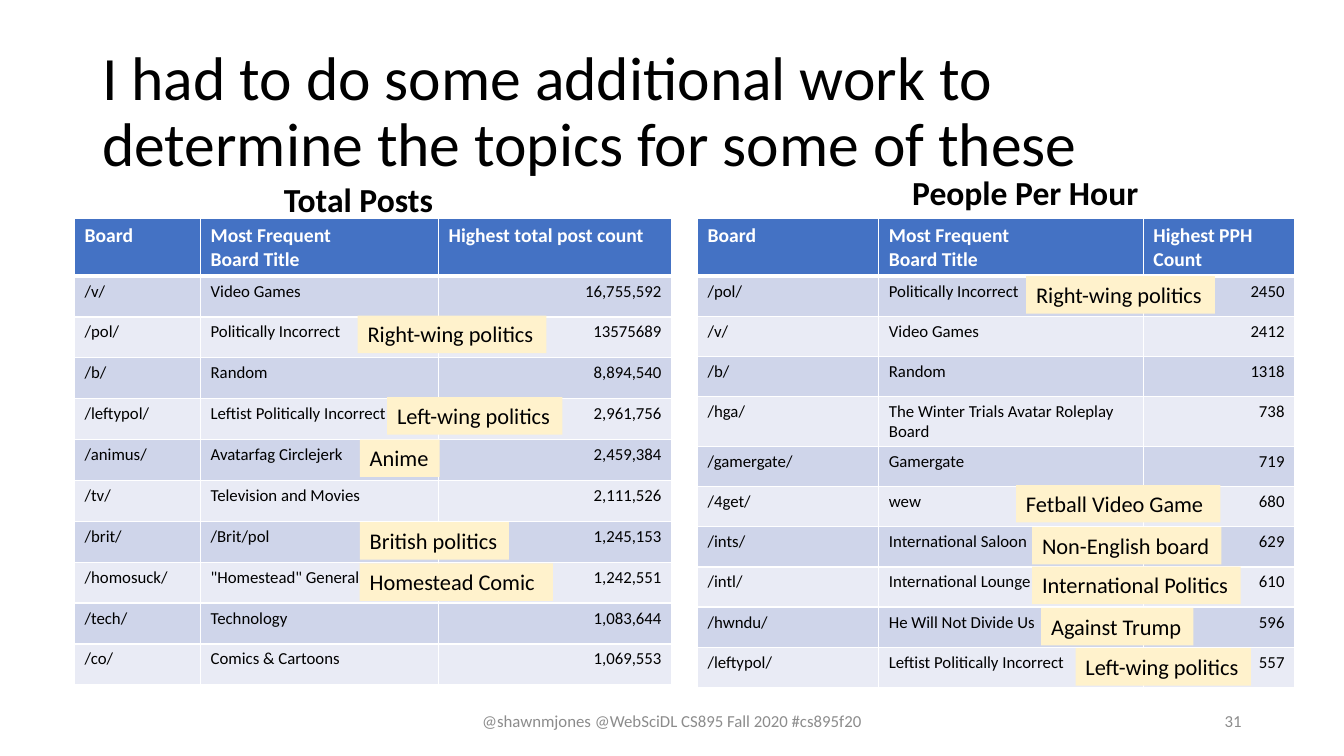
from lxml import etree
from pptx import Presentation
from pptx.dml.color import RGBColor
from pptx.enum.text import MSO_ANCHOR, MSO_AUTO_SIZE, PP_ALIGN
from pptx.oxml.ns import qn
from pptx.util import Pt

LEFT, CENTER, RIGHT = PP_ALIGN.LEFT, PP_ALIGN.CENTER, PP_ALIGN.RIGHT
TOP, MIDDLE = MSO_ANCHOR.TOP, MSO_ANCHOR.MIDDLE
GROW = MSO_AUTO_SIZE.SHAPE_TO_FIT_TEXT
HEADER_FILL = "4472C4"
BAND_FILLS = ("CFD5EA", "E9EBF5")
LABEL_FILL = "FFF2CC"
HEADER_HEIGHT = 41


def color(value):
    return RGBColor.from_string(value)


def write(frame, text, size, ink="000000", bold=False, align=LEFT):
    frame.text = text
    for para in frame.paragraphs:
        para.alignment = align
        para.font.name = "Calibri"
        para.font.size = Pt(size)
        para.font.bold = bold
        para.font.color.rgb = color(ink)


deck = Presentation()
deck.slide_width, deck.slide_height = Pt(960), Pt(540)
page = deck.slides.add_slide(deck.slide_layouts[6])

# Title, footer and page number
TITLE = "I had to do some additional work to determine the topics for some of these"
FOOTER = "@shawnmjones @WebSciDL CS895 Fall 2020 #cs895f20"
for text, left, top, width, height, size, ink, align in (
    (TITLE, 66, 28.75, 828, 104.4, 44, "000000", LEFT),
    (FOOTER, 318, 500.5, 324, 28.75, 12, "8C8C8C", CENTER),
    ("31", 678, 500.5, 216, 28.75, 12, "8C8C8C", RIGHT),
):
    box = page.shapes.add_textbox(Pt(left), Pt(top), Pt(width), Pt(height))
    box.text_frame.word_wrap = True
    box.text_frame.vertical_anchor = MIDDLE
    write(box.text_frame, text, size, ink, align=align)
    box.text_frame.paragraphs[0].line_spacing = 0.9 if text == TITLE else 1.0

# Ranking tables: left edge, column widths, row height, rows
total_posts = [
    ("Board", "Most Frequent\nBoard Title", "Highest total post count"),
    ("/v/", "Video Games", "16,755,592"),
    ("/pol/", "Politically Incorrect", "13575689"),
    ("/b/", "Random", "8,894,540"),
    ("/leftypol/", "Leftist Politically Incorrect", "2,961,756"),
    ("/animus/", "Avatarfag Circlejerk", "2,459,384"),
    ("/tv/", "Television and Movies", "2,111,526"),
    ("/brit/", "/Brit/pol", "1,245,153"),
    ("/homosuck/", '"Homestead" General', "1,242,551"),
    ("/tech/", "Technology", "1,083,644"),
    ("/co/", "Comics & Cartoons", "1,069,553"),
]
people_per_hour = [
    ("Board", "Most Frequent\nBoard Title", "Highest PPH Count"),
    ("/pol/", "Politically Incorrect", "2450"),
    ("/v/", "Video Games", "2412"),
    ("/b/", "Random", "1318"),
    ("/hga/", "The Winter Trials Avatar Roleplay Board", "738"),
    ("/gamergate/", "Gamergate", "719"),
    ("/4get/", "wew", "680"),
    ("/ints/", "International Saloon", "629"),
    ("/intl/", "International Lounge", "610"),
    ("/hwndu/", "He Will Not Divide Us", "596"),
    ("/leftypol/", "Leftist Politically Incorrect", "557"),
]
for left, widths, row_height, rows in (
    (53.25, (90, 170, 166.5), 29.2, total_posts),
    (498.25, (129.5, 189, 108), 28.65, people_per_hour),
):
    height = HEADER_HEIGHT + row_height * (len(rows) - 1)
    table = page.shapes.add_table(
        len(rows), len(widths), Pt(left), Pt(156.2), Pt(sum(widths)), Pt(height)
    ).table
    for column, width in zip(table.columns, widths):
        column.width = Pt(width)
    for r, values in enumerate(rows):
        table.rows[r].height = Pt(row_height if r else HEADER_HEIGHT)
        for c, value in enumerate(values):
            cell = table.cell(r, c)
            cell.fill.solid()
            if r == 0:
                cell.fill.fore_color.rgb = color(HEADER_FILL)
                write(cell.text_frame, value, 14, "FFFFFF", bold=True)
                # Thick white rule under the header
                rule = etree.Element(qn("a:lnB"), w=str(Pt(3)))
                solid = etree.SubElement(rule, qn("a:solidFill"))
                etree.SubElement(solid, qn("a:srgbClr"), val="FFFFFF")
                cell._tc.get_or_add_tcPr().insert(0, rule)
            else:
                cell.fill.fore_color.rgb = color(BAND_FILLS[(r - 1) % 2])
                write(cell.text_frame, value, 12, align=RIGHT if c == 2 else LEFT)
    # The one row with a two-line title is taller
    if rows is people_per_hour:
        table.rows[4].height = Pt(36)

# Table headings and topic labels: text, left, top, width, height
headings = [
    ("Total Posts", 195.75, 124, 122.5, 36.25),
    ("People Per Hour", 644.5, 119.5, 177, 36.25),
]
labels = [
    ("British politics", 257, 373, 106.5, 26.75),
    ("Homestead Comic", 257, 402.5, 138, 26.75),
    ("Anime", 257, 314, 57, 26.75),
    ("Fetball Video Game", 725.75, 346.5, 146, 26.75),
    ("Against Trump", 743.75, 434.25, 108.75, 26.75),
    ("Right-wing politics", 255.5, 225.5, 134.75, 26.75),
    ("Left-wing politics", 276.5, 283.75, 125.25, 26.75),
    ("Left-wing politics", 768.25, 463, 125.25, 26.75),
    ("Right-wing politics", 733, 197.25, 134.75, 26.75),
    ("Non-English board", 737.25, 376.5, 135.25, 26.75),
    ("International Politics", 737.25, 404.75, 149, 26.75),
]
for text, left, top, width, height in headings + labels:
    box = page.shapes.add_textbox(Pt(left), Pt(top), Pt(width), Pt(height))
    box.text_frame.word_wrap = False
    box.text_frame.auto_size = GROW
    box.text_frame.vertical_anchor = TOP
    is_heading = height > 30
    write(box.text_frame, text, 24 if is_heading else 16, bold=is_heading)
    if not is_heading:
        box.fill.solid()
        box.fill.fore_color.rgb = color(LABEL_FILL)

deck.save("out.pptx")
